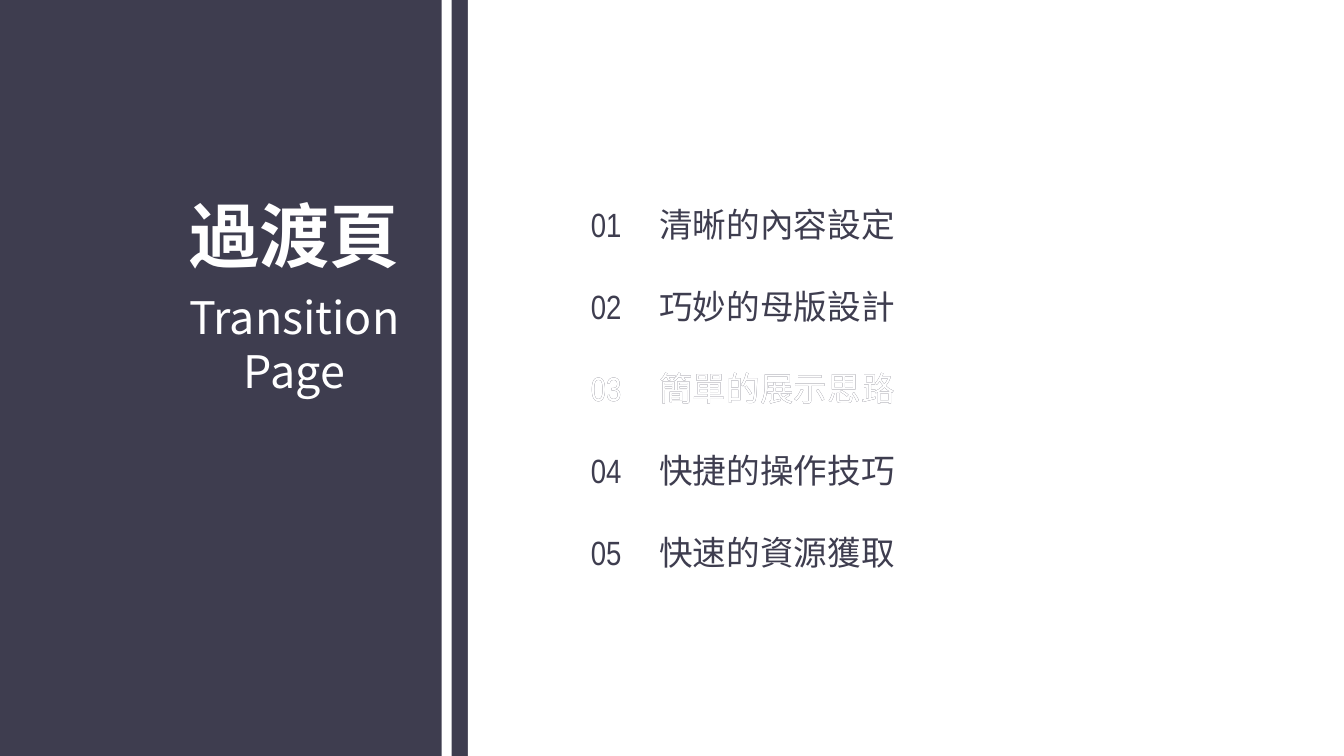
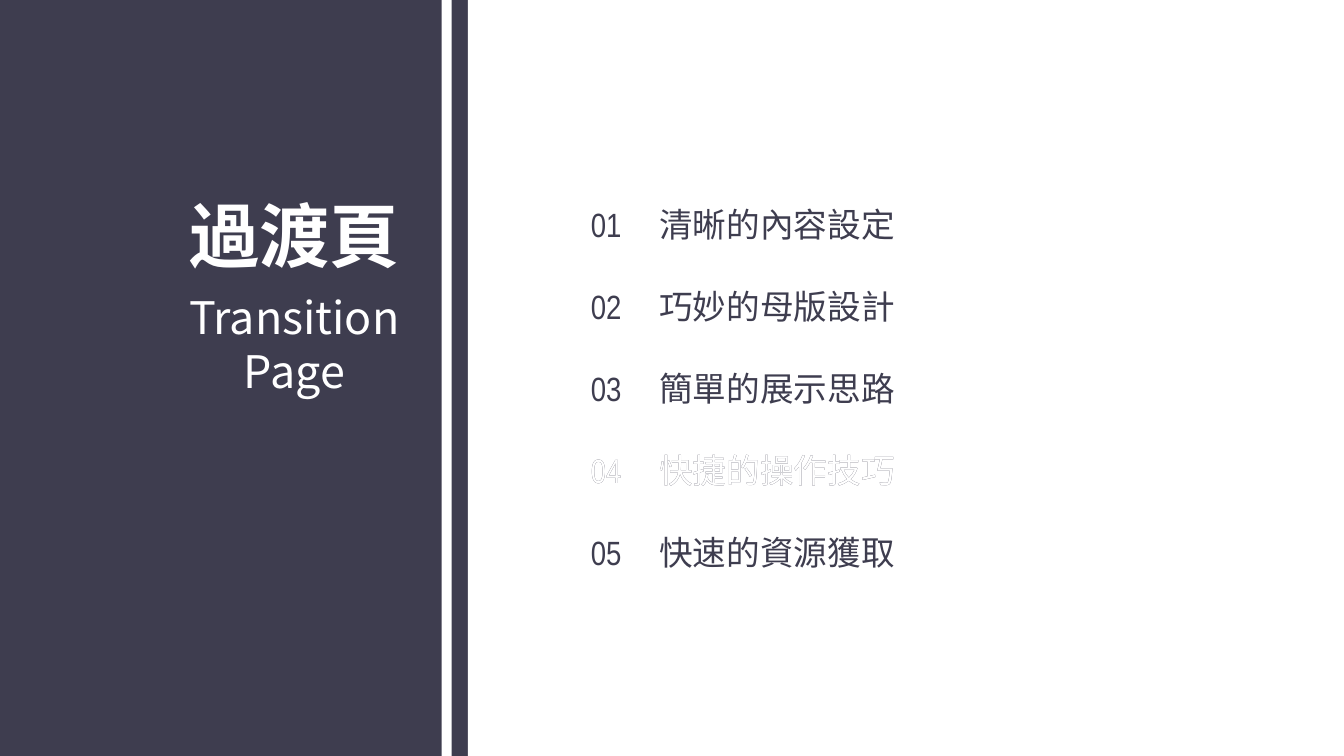
from dataclasses import dataclass

from pptx import Presentation
from pptx import util as u
from pptx.dml.color import RGBColor
from pptx.enum import shapes, text
from pptx.oxml import parse_xml
from pptx.oxml.ns import nsdecls


@dataclass(frozen=True)
class Theme:
    dark: RGBColor = RGBColor(0x3E, 0x3D, 0x4F)
    white: RGBColor = RGBColor(0xFF, 0xFF, 0xFF)
    cjk: str = "Noto Sans CJK SC"
    narrow: str = "Arial Narrow"
    title: int = 50
    subtitle: int = 32
    item: int = 24


T = Theme()
WIDTH, HEIGHT = 13.33, 7.5
TOPICS = ["清晰的內容設定", "巧妙的母版設計", "簡單的展示思路", "快捷的操作技巧", "快速的資源獲取"]


def add_run(p, words, *, size, color, font=T.cjk, bold=False):
    r = p.add_run()
    r.text = words
    r.font.size, r.font.bold, r.font.name = u.Pt(size), bold, font
    r.font.color.rgb = color
    r.font._element.find("{*}latin").addnext(
        parse_xml(f'<a:ea {nsdecls("a")} typeface="{T.cjk}"/>'))


def place(sp, left, top, width, height):
    sp.left, sp.top = u.Inches(left), u.Inches(top)
    sp.width, sp.height = u.Inches(width), u.Inches(height)


def add_box(s, left, top, width, height):
    return s.shapes.add_textbox(*map(u.Inches, (left, top, width, height)))


def format_heading(sp, words, *, size, bold=False):
    tf = sp.text_frame
    tf.word_wrap = True
    tf.auto_size = text.MSO_AUTO_SIZE.NONE
    tf.vertical_anchor = text.MSO_ANCHOR.TOP
    p = tf.paragraphs[0]
    p.alignment = text.PP_ALIGN.CENTER
    p.line_spacing = u.Pt(size * 1.2)
    add_run(p, words, size=size, color=T.white, bold=bold)


def add_panels(s):
    """White stripe and content panel over the dark background."""
    for left, width in ((4.64, WIDTH - 4.64), (4.38, 0.1)):
        sp = s.shapes.add_shape(shapes.MSO_SHAPE.RECTANGLE, u.Inches(left), 0,
                                u.Inches(width), u.Inches(HEIGHT))
        sp.shadow.inherit = False
        sp.fill.solid()
        sp.fill.fore_color.rgb = T.white
        sp.line.fill.background()


def add_headings(s, left, top, width):
    place(s.shapes.title, left, top, width, 0.93)
    format_heading(s.shapes.title, "過渡頁", size=T.title, bold=True)
    subtitle = add_box(s, left, top + 0.97, width, 1.17)
    format_heading(subtitle, "Transition Page", size=T.subtitle)


def add_topic(s, left, top, width, number, color, tab=0.68):
    tf = add_box(s, left, top, width, 0.4).text_frame
    tf.margin_left = tf.margin_right = tf.margin_top = tf.margin_bottom = 0
    tf.word_wrap = True
    tf.vertical_anchor = text.MSO_ANCHOR.MIDDLE
    p = tf.paragraphs[0]
    p._p.get_or_add_pPr().append(parse_xml(
        f'<a:tabLst {nsdecls("a")}><a:tab pos="{u.Inches(tab)}" algn="l"/></a:tabLst>'))
    add_run(p, f"{number:02}\t", size=T.item, color=color, font=T.narrow)
    add_run(p, TOPICS[number - 1], size=T.item, color=color)


def add_agenda(s, left, top, width, current, pitch=0.815):
    """Numbered topics; white over dark leaves the current one in thin outline."""
    rows = [(n, T.dark) for n in range(1, len(TOPICS) + 1)] + [(current, T.white)]
    for number, color in rows:
        add_topic(s, left, top + (number - 1) * pitch, width, number, color)


def add_transition(prs, current):
    s = prs.slides.add_slide(prs.slide_layouts[5])
    add_panels(s)
    add_headings(s, 1.62, 1.86, 2.6)
    add_agenda(s, 5.86, 2.02, 4.19, current)


def main():
    prs = Presentation()
    prs.slide_width, prs.slide_height = u.Inches(WIDTH), u.Inches(HEIGHT)
    fill = prs.slide_master.background.fill
    fill.solid()
    fill.fore_color.rgb = T.dark
    for current in (3, 4):
        add_transition(prs, current)
    prs.save("out.pptx")


if __name__ == "__main__":
    main()
